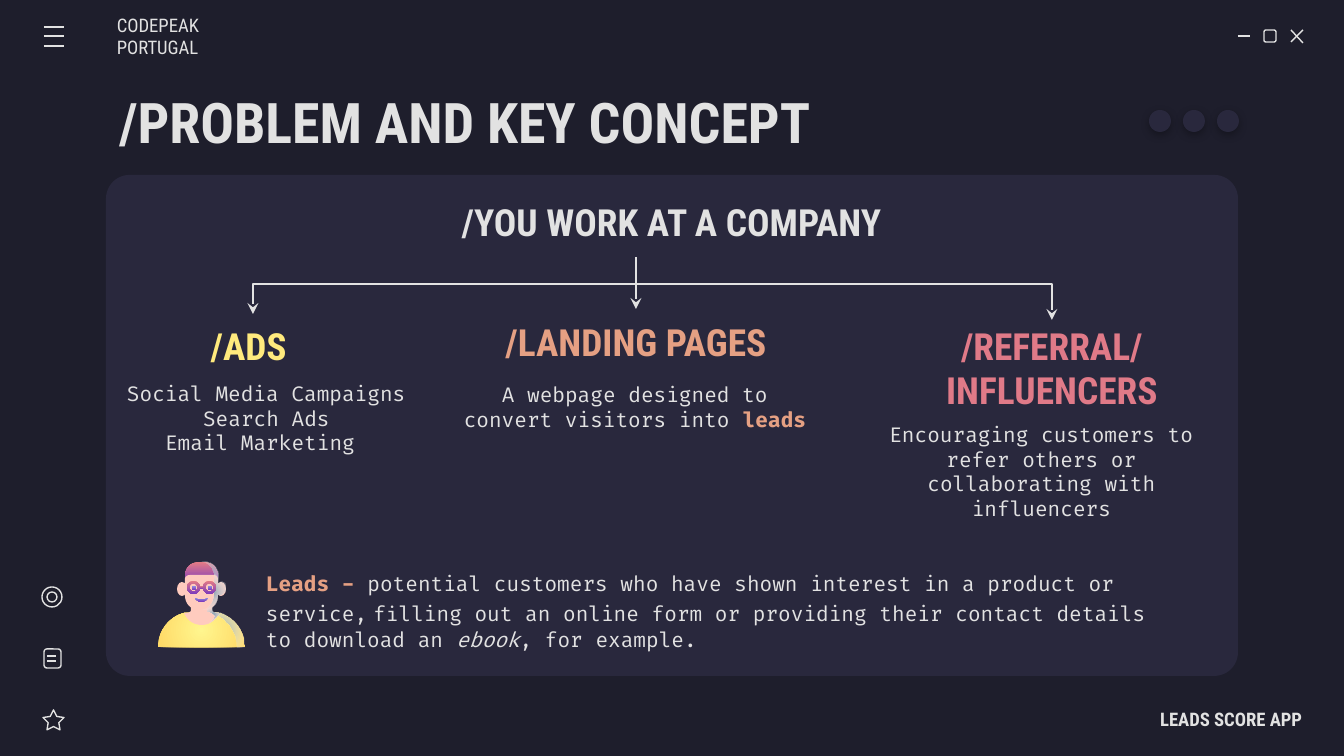
import copy
from dataclasses import dataclass
from typing import Any

import lxml.etree
import pptx
import pptx.dml.color
import pptx.enum.dml
import pptx.enum.shapes
import pptx.enum.text
import pptx.oxml
import pptx.oxml.ns
import pptx.util

PIXEL = 914400 / 134.4
COLORS = {
    "background": "1E1E2C", "panel": "29283D", "light": "E2E2E2",
    "yellow": "FFEA7D", "orange": "E5A083", "pink": "E07A88", "gray": "D1D5DB",
    "skin": "FFCBBE", "sun": "FFF68E", "gold": "FFD966", "rose": "E57C85",
    "violet": "7E3BBE", "lilac": "8D90E1", "steel": "869FB1", "white": "FFFFFF",
}
HEADING, BODY = "Roboto Condensed", "Fira Code"
SHAPE = pptx.enum.shapes.MSO_SHAPE
ALIGN = pptx.enum.text.PP_ALIGN
CONNECTOR = pptx.enum.shapes.MSO_CONNECTOR
qn = pptx.oxml.ns.qn


@dataclass
class Run:
    text: str
    color: str | None = None
    bold: bool | None = None
    italic: bool | None = None
    size: int | None = None
    font: str | None = None


@dataclass
class Label:
    box: tuple[int, int, int, int]
    paragraphs: list[list[Run]]
    size: int = 11
    font: str = BODY
    color: str = "light"
    bold: bool = False
    align: Any = ALIGN.CENTER
    insets: tuple[int, int, int, int] = (13, 13, 13, 13)
    anchor: Any = pptx.enum.text.MSO_ANCHOR.MIDDLE


@dataclass
class Outline:
    start: tuple[int, int]
    segments: list[tuple[int, ...]]
    fill: str | tuple[str, str]
    radial: bool = False


def emu(pixels: float) -> int:
    return round(pixels * PIXEL)


def rgb(name: str) -> pptx.dml.color.RGBColor:
    return pptx.dml.color.RGBColor.from_string(COLORS[name])


def style_font(font: Any, name: str | None, size: int | None, color: str | None,
               bold: bool | None, italic: bool | None = None) -> None:
    font.name, font.bold, font.italic = name, bold, italic
    if size:
        font.size = pptx.util.Pt(size)
    if color:
        font.color.rgb = rgb(color)


def write_label(shape: Any, label: Label) -> None:
    shape.left, shape.top, shape.width, shape.height = map(emu, label.box)
    frame = shape.text_frame
    frame.word_wrap = True
    frame.auto_size = pptx.enum.text.MSO_AUTO_SIZE.NONE
    frame.vertical_anchor = label.anchor
    (frame.margin_left, frame.margin_top,
     frame.margin_right, frame.margin_bottom) = map(emu, label.insets)
    for index, runs in enumerate(label.paragraphs):
        paragraph = frame.add_paragraph() if index else frame.paragraphs[0]
        paragraph.alignment = label.align
        paragraph.space_before = pptx.util.Pt(0)
        style_font(paragraph.font, label.font, label.size, label.color, label.bold)
        for item in runs:
            run = paragraph.add_run()
            run.text = item.text
            style_font(run.font, item.font, item.size, item.color, item.bold, item.italic)


def paint(shape: Any, fill: str | tuple[str, str] | None, line: str | None = None,
          radial: bool = False) -> None:
    shape.shadow.inherit = False
    if isinstance(fill, tuple):
        shape.fill.gradient()
        shape.fill.gradient_angle = 270
        for stop, color in zip(shape.fill.gradient_stops, fill):
            stop.color.rgb = rgb(color)
        gradient = shape._element.spPr.find(qn("a:gradFill"))
        if radial:
            linear = gradient.find(qn("a:lin"))
            linear.addprevious(pptx.oxml.parse_xml(
                f'<a:path {pptx.oxml.ns.nsdecls("a")} path="circle">'
                '<a:fillToRect l="50000" t="50000" r="50000" b="50000"/></a:path>'))
            gradient.remove(linear)
        if fill[1] == "white":
            last = list(gradient.iter(qn("a:srgbClr")))[-1]
            lxml.etree.SubElement(last, qn("a:alpha")).set("val", "0")
    elif fill:
        shape.fill.solid()
        shape.fill.fore_color.rgb = rgb(fill)
    else:
        shape.fill.background()
    if line:
        shape.line.color.rgb = rgb(line)
        shape.line.width = pptx.util.Pt(0.75)
    else:
        shape.line.fill.background()


def draw_shape(slide: Any, kind: Any, box: tuple[int, int, int, int],
               fill: str | tuple[str, str] | None = None, line: str | None = None,
               adjustment: float | None = None) -> Any:
    shape = slide.shapes.add_shape(kind, *map(emu, box))
    paint(shape, fill, line)
    if adjustment is not None:
        shape.adjustments[0] = adjustment
    return shape


def draw_line(slide: Any, points: tuple[int, int, int, int],
              arrow: bool = False, bent: bool = False) -> None:
    kind = CONNECTOR.ELBOW if bent else CONNECTOR.STRAIGHT
    connector = slide.shapes.add_connector(kind, *map(emu, points))
    connector.line.color.rgb = rgb("light")
    connector.line.width = pptx.util.Pt(0.75)
    properties = connector._element.spPr
    if bent:
        properties.find(qn("a:prstGeom")).set("prst", "bentConnector2")
    if arrow:
        lxml.etree.SubElement(properties.find(qn("a:ln")), qn("a:tailEnd")).set("type", "stealth")
    lxml.etree.SubElement(properties, qn("a:effectLst"))


def draw_outline(slide: Any, outline: Outline, steps: int = 10) -> None:
    x, y = outline.start
    points: list[tuple[float, float]] = []
    for segment in outline.segments:
        if len(segment) == 2:
            points.append(segment)
        else:
            ax, ay, bx, by, cx, cy = segment
            for step in range(1, steps + 1):
                t = step / steps
                weights = ((1 - t) ** 3, 3 * t * (1 - t) ** 2, 3 * t * t * (1 - t), t ** 3)
                points.append((sum(w * v for w, v in zip(weights, (x, ax, bx, cx))),
                               sum(w * v for w, v in zip(weights, (y, ay, by, cy)))))
        x, y = segment[-2:]
    builder = slide.shapes.build_freeform(*map(emu, outline.start))
    builder.add_line_segments([(emu(px), emu(py)) for px, py in points], close=True)
    paint(builder.convert_to_shape(), outline.fill, radial=outline.radial)


def draw_avatar(slide: Any) -> None:
    shade, frame = ("steel", "white"), ("rose", "violet")
    shoulder = [(245, 647), (245, 631, 234, 617, 219, 613)]
    neck_side = [(214, 613, 212, 612, 212, 610), (212, 605)]
    hair_side = [(218, 583), (218, 577), (218, 568, 212, 562, 204, 562)]
    jaw = [(203, 610), (212, 610, 218, 604, 218, 595)]
    temple = [(218, 579), (218, 577, 216, 575, 214, 575)]
    ear = [(222, 596, 226, 592, 226, 588), (226, 583, 222, 580, 218, 584)]
    for outline in (
        Outline((202, 613), [(194, 613, 186, 613, 184, 613), (169, 617, 158, 631, 158, 647),
                             *shoulder], ("sun", "gold"), True),
        Outline((198, 613), [(211, 613), (226, 617, 237, 631, 237, 647), *shoulder], shade, True),
        Outline((191, 605), [(191, 610), (191, 612, 189, 613, 184, 613),
                             (187, 620, 193, 625, 202, 625), (210, 625, 216, 620, 219, 613),
                             *neck_side], "skin"),
        Outline((208, 605), [(208, 612), (215, 614, 217, 617, 208, 624),
                             (212, 621, 216, 618, 219, 613), *neck_side], shade, True),
        Outline((199, 562), [(191, 562, 185, 568, 185, 577), (185, 583), *hair_side], frame),
        Outline((200, 562), [(207, 562, 214, 568, 214, 577), (214, 583), *hair_side], shade, True),
    ):
        draw_outline(slide, outline)
    for left in (177, 216):
        draw_shape(slide, SHAPE.OVAL, (left, 582, 10, 14), "skin")
    for outline in (
        Outline((190, 575), [(187, 575, 185, 577, 185, 579), (185, 595),
                             (185, 604, 191, 610, 200, 610), *jaw, *temple], "skin"),
        Outline((214, 575), [(214, 595), (214, 604, 207, 610, 199, 610), *jaw, *ear, *temple],
                shade, True),
        Outline((195, 598), [(198, 603, 205, 603, 208, 598), (205, 600, 198, 600, 195, 598)],
                ("lilac", "violet")),
    ):
        draw_outline(slide, outline)
    for left in (187, 203):
        draw_shape(slide, SHAPE.OVAL, (left + 5, 586, 4, 4), ("lilac", "violet"))
        draw_shape(slide, SHAPE.DONUT, (left, 581, 13, 13), frame, adjustment=0.18)
    draw_shape(slide, SHAPE.RECTANGLE, (200, 586, 3, 3), frame)


def draw_icons(slide: Any) -> None:
    for points in ((1238, 36, 1250, 36), (1291, 30, 1303, 43), (1303, 30, 1291, 42),
                   *((44, y, 64, y) for y in (27, 36, 46)),
                   *((47, y, 56, y) for y in (656, 661))):
        draw_line(slide, points)
    for kind, box in ((SHAPE.ROUNDED_RECTANGLE, (1264, 30, 12, 12)),
                      (SHAPE.STAR_5_POINT, (43, 710, 21, 20)),
                      (SHAPE.ROUNDED_RECTANGLE, (44, 649, 17, 19)),
                      (SHAPE.OVAL, (42, 587, 20, 20)), (SHAPE.OVAL, (47, 592, 10, 10))):
        star = kind == SHAPE.STAR_5_POINT
        draw_shape(slide, kind, box, line="light", adjustment=0.254 if star else None)
    shadow = pptx.oxml.parse_xml(
        f'<a:outerShdw {pptx.oxml.ns.nsdecls("a")} blurRad="57150" dist="19050" dir="5400000" '
        'rotWithShape="0"><a:srgbClr val="000000"><a:alpha val="30000"/></a:srgbClr></a:outerShdw>')
    for index in range(3):
        dot = draw_shape(slide, SHAPE.OVAL, (1149 + 34 * index, 110, 22, 22), "panel")
        dot._element.spPr.find(qn("a:effectLst")).append(copy.deepcopy(shadow))


def heading(box: tuple[int, int, int, int], color: str, *lines: str) -> Label:
    return Label(box, [[Run(line)] for line in lines], 20, HEADING, color, True)


def main() -> None:
    presentation = pptx.Presentation()
    presentation.slide_width, presentation.slide_height = emu(1344), emu(756)
    slide = presentation.slides.add_slide(presentation.slide_layouts[1])
    slide.background.fill.solid()
    slide.background.fill.fore_color.rgb = rgb("background")
    title, channels = slide.placeholders
    panel = draw_shape(slide, SHAPE.ROUNDED_RECTANGLE, (106, 175, 1132, 501), "panel",
                       adjustment=0.047)
    title._element.addprevious(panel._element)
    write_label(title, Label((106, 79, 1059, 85), [[Run("/PROBLEM AND KEY CONCEPT")]],
                             30, HEADING, bold=True, align=ALIGN.LEFT))
    write_label(channels, Label((99, 371, 335, 94), [
        [Run("Social Media Campaigns")], [Run("Search Ads")], [Run("Email Marketing ")]]))
    for paragraph in channels.text_frame.paragraphs:
        properties = paragraph._p.get_or_add_pPr()
        properties.set("marL", "0")
        properties.set("indent", "0")
        properties.find(qn("a:defRPr")).addprevious(
            pptx.oxml.parse_xml(f'<a:buNone {pptx.oxml.ns.nsdecls("a")}/>'))
    draw_icons(slide)
    draw_line(slide, (629, 284, 253, 314), arrow=True, bent=True)
    draw_line(slide, (611, 284, 1052, 320), arrow=True, bent=True)
    draw_line(slide, (636, 257, 636, 309), arrow=True)
    draw_avatar(slide)
    for label in (
        heading((396, 192, 551, 59), "light", "/YOU WORK AT A COMPANY"),
        heading((101, 316, 304, 59), "yellow", "/ADS "),
        heading((484, 312, 304, 59), "orange", "/LANDING PAGES"),
        heading((895, 319, 314, 97), "pink", "/REFERRAL/", "INFLUENCERS"),
        Label((450, 368, 370, 78), [[Run("A webpage designed to convert visitors into "),
                                     Run("leads", "orange", True)]]),
        Label((852, 415, 379, 113), [[Run("Encouraging customers to refer others or "
                                          "collaborating with influencers")]]),
        Label((253, 564, 938, 97), [[
            Run("Leads - ", "orange", True),
            Run("potential customers who have shown interest in a product or service,"),
            Run(" ", "gray", size=14, font="Calibri"),
            Run("filling out an online form or providing their contact details "
                "to download an "),
            Run("ebook", italic=True), Run(", for example.")]],
            align=ALIGN.LEFT, insets=(13, 7, 13, 7), anchor=pptx.enum.text.MSO_ANCHOR.TOP),
        Label((117, 16, 180, 40), [[Run("CODEPEAK PORTUGAL")]], 10, HEADING,
              align=ALIGN.LEFT, insets=(0, 13, 13, 13)),
        Label((1145, 699, 157, 40), [[Run("LEADS SCORE APP")]], 10, HEADING, bold=True,
              align=ALIGN.RIGHT, insets=(13, 13, 0, 13)),
    ):
        write_label(slide.shapes.add_textbox(0, 0, 0, 0), label)
    presentation.save("out.pptx")


if __name__ == "__main__":
    main()
